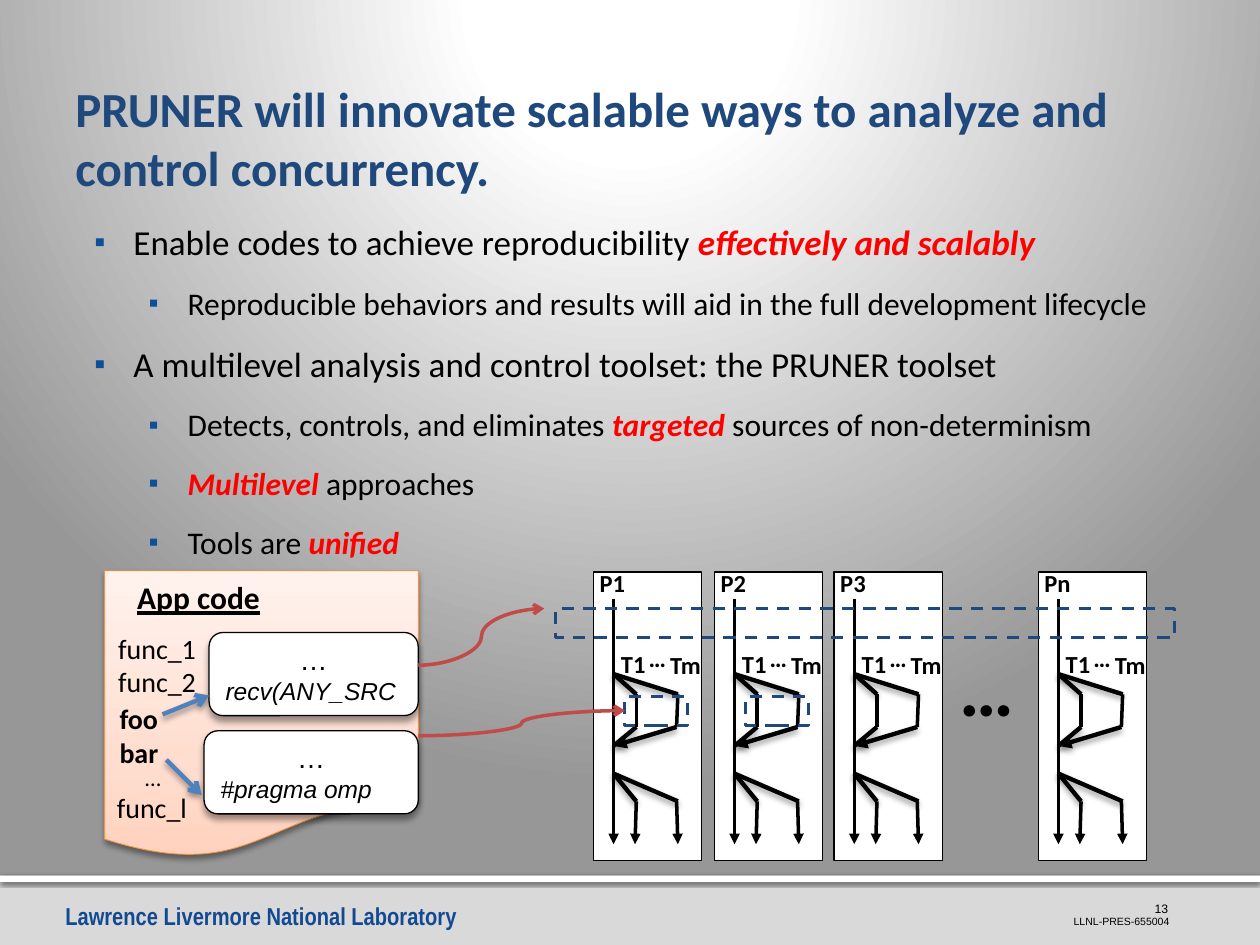
from lxml import etree
from pptx import Presentation
from pptx import util as u
from pptx.dml.color import RGBColor
from pptx.enum import dml, shapes, text
from pptx.oxml import parse_xml
from pptx.oxml.ns import nsdecls, qn

# All lengths are cells of a square grid, 100 columns by 75 rows.
WIDTH, HEIGHT = u.Inches(10), u.Inches(7.5)
CELL = WIDTH / 100

BLACK = RGBColor(0x00, 0x00, 0x00)
WHITE = RGBColor(0xFF, 0xFF, 0xFF)
GRAY = RGBColor(0xD9, 0xD9, 0xD9)
NAVY = RGBColor(0x1F, 0x49, 0x7D)
FOOTER_BLUE = RGBColor(0x12, 0x4A, 0x91)
BULLET_BLUE = RGBColor(0x0D, 0x50, 0x97)
ARROW_BLUE = RGBColor(0x4F, 0x81, 0xBD)
ARROW_RED = RGBColor(0xBF, 0x4C, 0x48)
ORANGE = RGBColor(0xF6, 0x92, 0x40)
RED = RGBColor(0xFF, 0x00, 0x00)
BACKGROUND_STOPS = [(0, WHITE), (20, WHITE), (100, RGBColor(0x97, 0x97, 0x97))]
PAPER_STOPS = [(0, RGBColor(0xFF, 0xD2, 0xBD)), (35, RGBColor(0xFF, 0xDE, 0xD0)),
               (100, RGBColor(0xFF, 0xF2, 0xED))]

# Shadows: opacity in percent, blur and distance in points.
SOFT, CARD, BAR, STRIP = (38, 3.5, 2), (40, 4, 3), (38, 3.1, 2), (60, 2.5, 0.8)

STRONG = {"bold": True, "italic": True, "color": RED}
LABEL = {"size": 14, "bold": True}
MIDDLE, RIGHT = text.PP_ALIGN.CENTER, text.PP_ALIGN.RIGHT
BOTTOM = text.MSO_ANCHOR.BOTTOM
RECT = shapes.MSO_SHAPE.RECTANGLE
STRAIGHT, CURVE = shapes.MSO_CONNECTOR.STRAIGHT, shapes.MSO_CONNECTOR.CURVE


def cells(*values):
    return [round(v * CELL) for v in values]


def set_gradient(el, stops, direction):
    """Swap the first solid fill under el for a gradient."""
    gs = "".join(f'<a:gs pos="{pos * 1000}"><a:srgbClr val="{c}"/></a:gs>' for pos, c in stops)
    old = el.find(".//" + qn("a:solidFill"))
    old.getparent().replace(old, parse_xml(
        f'<a:gradFill {nsdecls("a")} rotWithShape="1"><a:gsLst>{gs}</a:gsLst>{direction}</a:gradFill>'))


def set_shadow(sp, shadow):
    """Replace the theme shadow by the given one, or by none."""
    props = sp._element.spPr
    for old in props.findall(qn("a:effectLst")):
        props.remove(old)
    effects = etree.SubElement(props, qn("a:effectLst"))
    if shadow:
        alpha, blur, dist = shadow
        effects.append(parse_xml(
            f'<a:outerShdw {nsdecls("a")} blurRad="{u.Pt(blur)}" dist="{u.Pt(dist)}" dir="5400000" '
            f'rotWithShape="0"><a:srgbClr val="000000"><a:alpha val="{alpha * 1000}"/></a:srgbClr>'
            '</a:outerShdw>'))


def add_run(p, words, size=18, color=BLACK, **fmt):
    r = p.add_run()
    r.text = words
    r.font.color.rgb = color
    for key, value in {"name": "Calibri", "size": u.Pt(size), **fmt}.items():
        setattr(r.font, key, value)


def fill_text(tf, paragraphs, **frame):
    """Write paragraphs, each a pair of alignment and list of (words, format) runs."""
    for key, value in frame.items():
        setattr(tf, key, value)
    for i, (align, runs) in enumerate(paragraphs):
        p = tf.paragraphs[0] if i == 0 else tf.add_paragraph()
        p.alignment = align
        for words, fmt in runs:
            add_run(p, words, **fmt)


def add_text(s, x, y, w, h, paragraphs, **frame):
    tf = s.shapes.add_textbox(*cells(x, y, w, h)).text_frame
    fill_text(tf, paragraphs, **{"word_wrap": False, **frame})
    return tf


def add_label(s, x, y, w, h, words, **fmt):
    add_text(s, x, y, w, h, [(None, [(line, fmt)]) for line in words.split("\n")])


def add_box(s, kind, x, y, w, h, fill=None, line=None, width=0.75, dash=None, shadow=None):
    sp = s.shapes.add_shape(kind, *cells(x, y, w, h))
    for part, color in ((sp.fill, fill), (sp.line.fill, line)):
        if color is None:
            part.background()
        else:
            part.solid()
            part.fore_color.rgb = color
    sp.line.width = u.Pt(width)
    if dash:
        sp.line.dash_style = dash
    set_shadow(sp, shadow)
    return sp


def add_line(s, x1, y1, x2, y2, width=2, color=BLACK, head=None, shadow=None, kind=STRAIGHT):
    line = s.shapes.add_connector(kind, *cells(x1, y1, x2, y2))
    line.line.color.rgb = color
    line.line.width = u.Pt(width)
    if head:
        etree.SubElement(line.line._get_or_add_ln(), qn("a:tailEnd"), type=head)
    set_shadow(line, shadow)


def title(s, x, y, w, h):
    words = "PRUNER will innovate scalable ways to analyze and control concurrency."
    add_text(s, x, y, w, h, [(None, [(words, {"size": 28, "bold": True, "color": NAVY})])],
             word_wrap=True, vertical_anchor=BOTTOM, margin_right=cells(0.5)[0])


def bullets(s, x, y, w, h):
    items = [
        (0, [("Enable codes to achieve reproducibility ", {}), ("effectively and scalably", STRONG)]),
        (1, [("Reproducible behaviors and results will aid in the full development lifecycle", {})]),
        (0, [("A multilevel analysis and control toolset: the PRUNER toolset", {})]),
        (1, [("Detects, controls, and eliminates ", {}), ("targeted ", STRONG),
             ("sources of non-determinism", {})]),
        (1, [("Multilevel ", STRONG), ("approaches", {})]),
        (1, [("Tools are ", {}), ("unified", STRONG)]),
    ]
    paragraphs = [(None, [(words, {"size": 20 - 2 * level, **fmt}) for words, fmt in runs])
                  for level, runs in items]
    tf = add_text(s, x, y, w, h, paragraphs, word_wrap=True,
                  margin_left=cells(0.6)[0], margin_top=cells(1)[0])
    for i, (p, (level, _)) in enumerate(zip(tf.paragraphs, items)):
        props = p._p.get_or_add_pPr()
        left, hang = cells(4.4 + 4.3 * level, -3.1)
        props.set("marL", str(left))
        props.set("indent", str(hang))
        for xml in (f'buClr {nsdecls("a")}><a:srgbClr val="{BULLET_BLUE}"/></a:buClr>',
                    f'buSzPct {nsdecls("a")} val="90000"/>',
                    f'buFont {nsdecls("a")} typeface="Arial"/>',
                    f'buChar {nsdecls("a")} char="▪"/>'):
            props.append(parse_xml("<a:" + xml))
        p.level = level
        p.space_before, p.space_after = u.Pt(6 if i else 0), u.Pt(6)


def app_code(s, x, y, w, h):
    paper = add_box(s, shapes.MSO_SHAPE.FLOWCHART_DOCUMENT, x, y, w, h, WHITE, ORANGE, 0.5, shadow=SOFT)
    set_gradient(paper._element, PAPER_STOPS, '<a:lin ang="16200000" scaled="0"/>')
    add_label(s, x + 1.6, y + 0.1, 12.2, 4, "App code", bold=True, underline=True)
    add_label(s, x + 0.1, y + 4.3, 8.3, 6.4, "func_1\nfunc_2", size=16)
    add_text(s, x, y + 14.8, 7.7, 5.9, [(MIDDLE, [("…", {"size": 13})]),
                                        (None, [("func_l", {"size": 16})])])
    add_label(s, x + 0.2, y + 9.9, 5.2, 6.4, "foo\nbar", size=16, bold=True)
    for dx, dy, code in ((8.3, 4.9, "recv(ANY_SRC"), (7.9, 12.7, "#pragma omp")):
        card = add_box(s, shapes.MSO_SHAPE.ROUNDED_RECTANGLE, x + dx, y + dy, w - dx, 6.6,
                       WHITE, BLACK, shadow=CARD)
        fill_text(card.text_frame, [
            (MIDDLE, [("…", {"size": 16, "name": "Arial"})]),
            (text.PP_ALIGN.LEFT, [(code, {"size": 14, "name": "Arial", "italic": True})]),
        ], vertical_anchor=BOTTOM)
    for x1, y1, x2, y2 in ((4.6, 11.4, 8.3, 9.9), (4.9, 15, 7.7, 17.8)):
        add_line(s, x + x1, y + y1, x + x2, y + y2, 2.5, ARROW_BLUE, "arrow", SOFT)


def process(s, x, y, w, h, name):
    """One process panel: its main thread forks, joins and forks again."""
    add_box(s, RECT, x, y, w, h, WHITE, BLACK)
    for dx, dy, width, words in ((1.2, 5.6, 4.1, "T1"), (-0.5, -0.8, 4.2, name),
                                 (5.1, 5.7, 4.7, "Tm"), (3.4, 5.1, 3.8, "…")):
        add_label(s, x + dx, y + dy, width, 3.5, words, **LABEL)
    main, near, far = 1.6, 3.4, 6.7
    fork, split, merge, join, fork2, split2, end = 8.1, 9.7, 12.3, 13.8, 16, 18.2, 21.6
    threads = [(main, 2.1, main, end, "triangle"), (near, split, near, merge, None),
               (far, split, far - 0.1, merge, None), (near, split2, near - 0.1, end, "triangle"),
               (far - 0.1, split2, far, end, "triangle")]
    branches = [(main, fork, near, split, None), (main, fork, far, split, None),
                (near, merge, main, join, None), (far - 0.1, merge, main, join, "triangle"),
                (main, fork2, near, split2, None), (main, fork2, far, split2, None)]
    for group, width, shadow in ((threads, 2, None), (branches, 2.5, SOFT)):
        for x1, y1, x2, y2, head in group:
            add_line(s, x + x1, y + y1, x + x2, y + y2, width, head=head, shadow=shadow)


def processes(s, x, y, w, h):
    """Row of process panels, with the dashed frames and the arrows that point at them."""
    for dx, name in ((0, "P1"), (9.6, "P2"), (19.1, "P3"), (35.3, "Pn")):
        process(s, x + dx, y, 8.6, h, name)
    add_label(s, x + 28.1, y + 4.9, 7.4, 8.4, "…", size=44, bold=True)
    for dx, dy, width in ((-3, 2.9, 49.1), (2.5, 9.9, 5), (12.1, 9.9, 5)):
        add_box(s, RECT, x + dx, y + dy, width, 2.3, line=NAVY, width=1.75,
                dash=dml.MSO_LINE.DASH)
    for y1, x2, y2 in ((7.4, -3.9, 2.9), (13, 2.5, 11)):
        add_line(s, x - 13.9, y + y1, x + x2, y + y2, 2, ARROW_RED, "arrow", kind=CURVE)


def footer(s, x, y, w, h):
    add_box(s, RECT, x, y, w, h, GRAY, shadow=BAR)
    add_box(s, RECT, x, y, w, 0.5, WHITE, shadow=STRIP)
    add_label(s, x + 4.2, y + 1.5, 33.4, 3.4, "Lawrence Livermore National Laboratory",
              size=14, name="Arial Narrow", bold=True, color=FOOTER_BLUE)
    add_text(s, x + 85.1, y + 2.6, 8.7, 1.5,
             [(RIGHT, [("LLNL-PRES-655004", {"size": 6, "name": "Arial"})])],
             vertical_anchor=BOTTOM, margin_left=0, margin_bottom=0)
    add_text(s, x + 89.8, y + 1.5, 3.9, 1.7, [(RIGHT, [("13", {"size": 7, "name": "Arial"})])],
             word_wrap=True)


def main():
    prs = Presentation()
    prs.slide_width, prs.slide_height = WIDTH, HEIGHT
    s = prs.slides.add_slide(prs.slide_layouts[6])
    s.background.fill.solid()
    set_gradient(s._element, BACKGROUND_STOPS,
                 '<a:path path="circle"><a:fillToRect l="10000" t="-25000" r="10000" b="125000"/></a:path>')
    footer(s, 0, 69.5, 100, 5.5)
    bullets(s, 5.6, 16.5, 90, 30.1)
    title(s, 5, 2.4, 91, 13.7)
    app_code(s, 8.3, 45.3, 24.9, 22.8)
    processes(s, 47.1, 45.4, 43.9, 22.9)
    prs.save("out.pptx")


if __name__ == "__main__":
    main()
